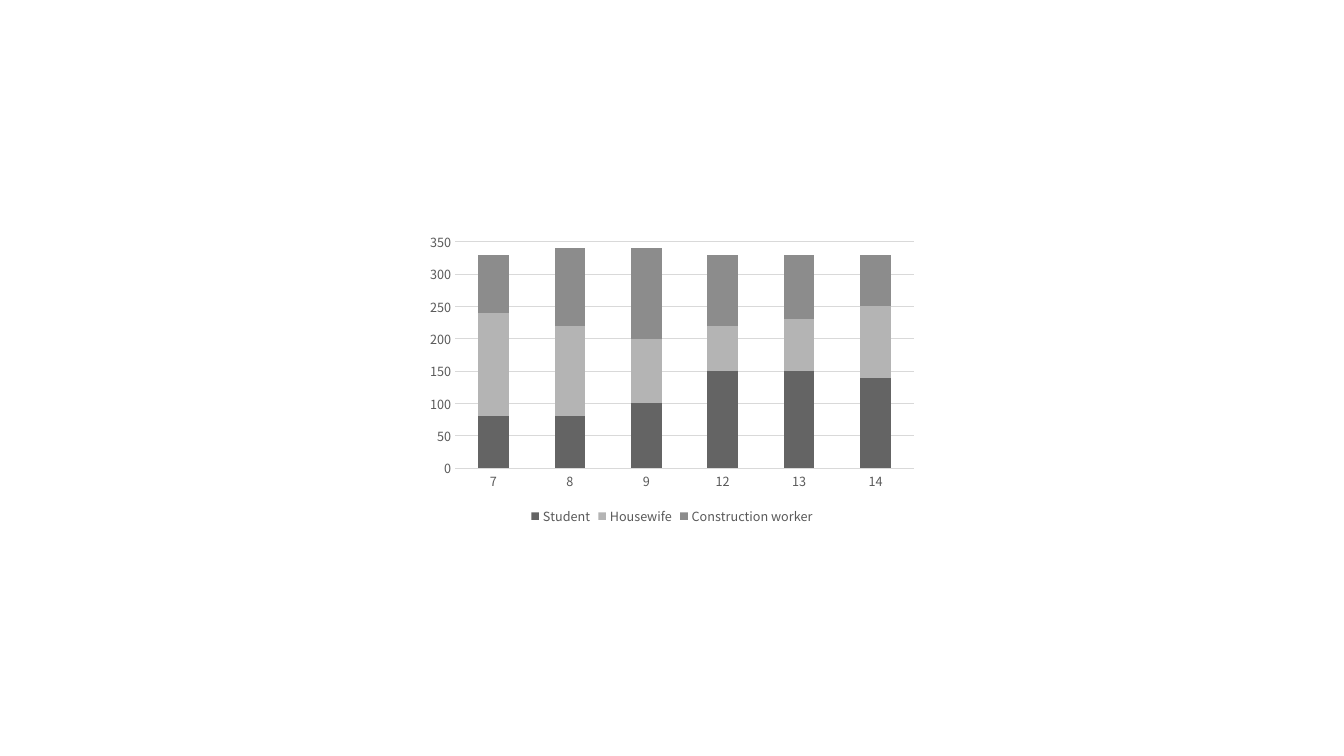
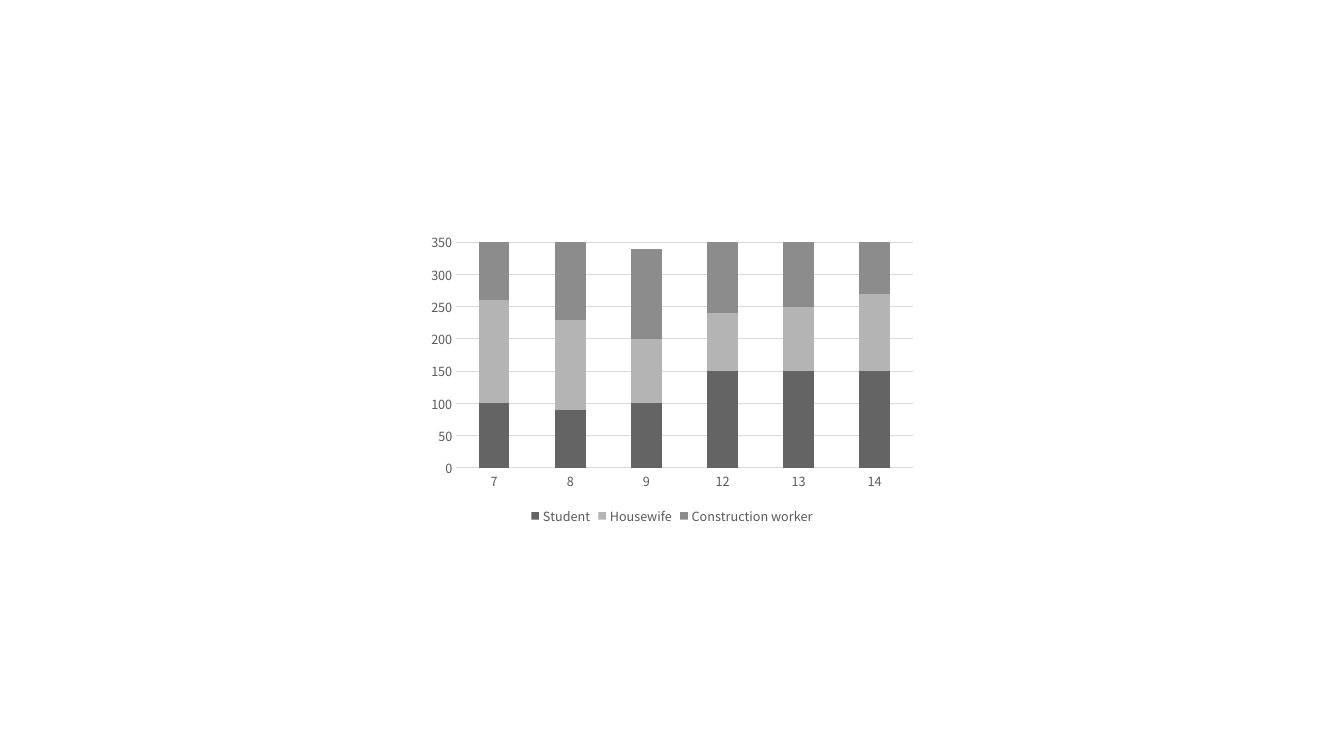
from pptx import Presentation
from pptx.chart.data import CategoryChartData as Data
from pptx.dml.color import RGBColor
from pptx.enum.chart import XL_CHART_TYPE as Kind, XL_LEGEND_POSITION as Place
from pptx.enum.chart import XL_TICK_MARK as Tick
from pptx.util import Cm, Pt

BLACK = RGBColor(0x00, 0x00, 0x00)
TEXT = RGBColor(0x59, 0x59, 0x59)
RULE = RGBColor(0xD9, 0xD9, 0xD9)
GROUPS = {
    "Student": RGBColor(0x64, 0x64, 0x64),
    "Housewife": RGBColor(0xB4, 0xB4, 0xB4),
    "Construction worker": RGBColor(0x8C, 0x8C, 0x8C),
}
HOURS = ["7", "8", "9", "12", "13", "14"]
CHARTS = [
    (Cm(12.7), Cm(7.62), [
        (80, 80, 100, 150, 150, 140),
        (160, 140, 100, 70, 80, 110),
        (90, 120, 140, 110, 100, 80),
    ]),
    (Cm(12.64), Cm(7.6), [
        (100, 90, 100, 150, 150, 150),
        (160, 140, 100, 90, 100, 120),
        (90, 120, 140, 120, 110, 100),
    ]),
]


class Deck:
    """Hold the shared style and the current slide."""

    face = "Noto Sans CJK KR"

    def __init__(self):
        self.prs = Presentation()
        self.prs.slide_width = Cm(33.87)
        self.prs.slide_height = Cm(19.05)
        self.slide = None

    def page(self):
        self.slide = self.prs.slides.add_slide(self.prs.slide_layouts[6])

    def font(self, font, size=9, color=TEXT):
        font.name = self.face
        font.size = Pt(size)
        font.color.rgb = color

    def line(self, line):
        line.color.rgb = RULE
        line.width = Pt(0.75)

    def axes(self, chart):
        cat, val = chart.category_axis, chart.value_axis
        for axis in (cat, val):
            axis.major_tick_mark = axis.minor_tick_mark = Tick.NONE
            self.font(axis.tick_labels.font)
        self.line(cat.format.line)
        val.format.line.fill.background()
        val.minimum_scale, val.maximum_scale, val.major_unit = 0, 350, 50
        val.has_major_gridlines = True
        self.line(val.major_gridlines.format.line)

    def legend(self, chart):
        chart.has_legend = True
        chart.legend.position = Place.BOTTOM
        chart.legend.include_in_layout = False
        self.font(chart.legend.font)

    def stack(self, wide, high, rows):
        data = Data()
        data.categories = HOURS
        for name, vals in zip(GROUPS, rows):
            data.add_series(name, vals)
        left = (self.prs.slide_width - wide) // 2
        top = (self.prs.slide_height - high) // 2
        frame = self.slide.shapes.add_chart(
            Kind.COLUMN_STACKED, left, top, wide, high, data)
        chart = frame.chart
        chart.has_title = False
        self.font(chart.font, 10, BLACK)
        plot = chart.plots[0]
        plot.gap_width, plot.overlap = 150, 100
        plot.vary_by_categories = False
        for bar, color in zip(plot.series, GROUPS.values()):
            bar.format.fill.solid()
            bar.format.fill.fore_color.rgb = color
        self.axes(chart)
        self.legend(chart)


def main():
    deck = Deck()
    for wide, high, rows in CHARTS:
        deck.page()
        deck.stack(wide, high, rows)
    deck.prs.save("out.pptx")


if __name__ == "__main__":
    main()
